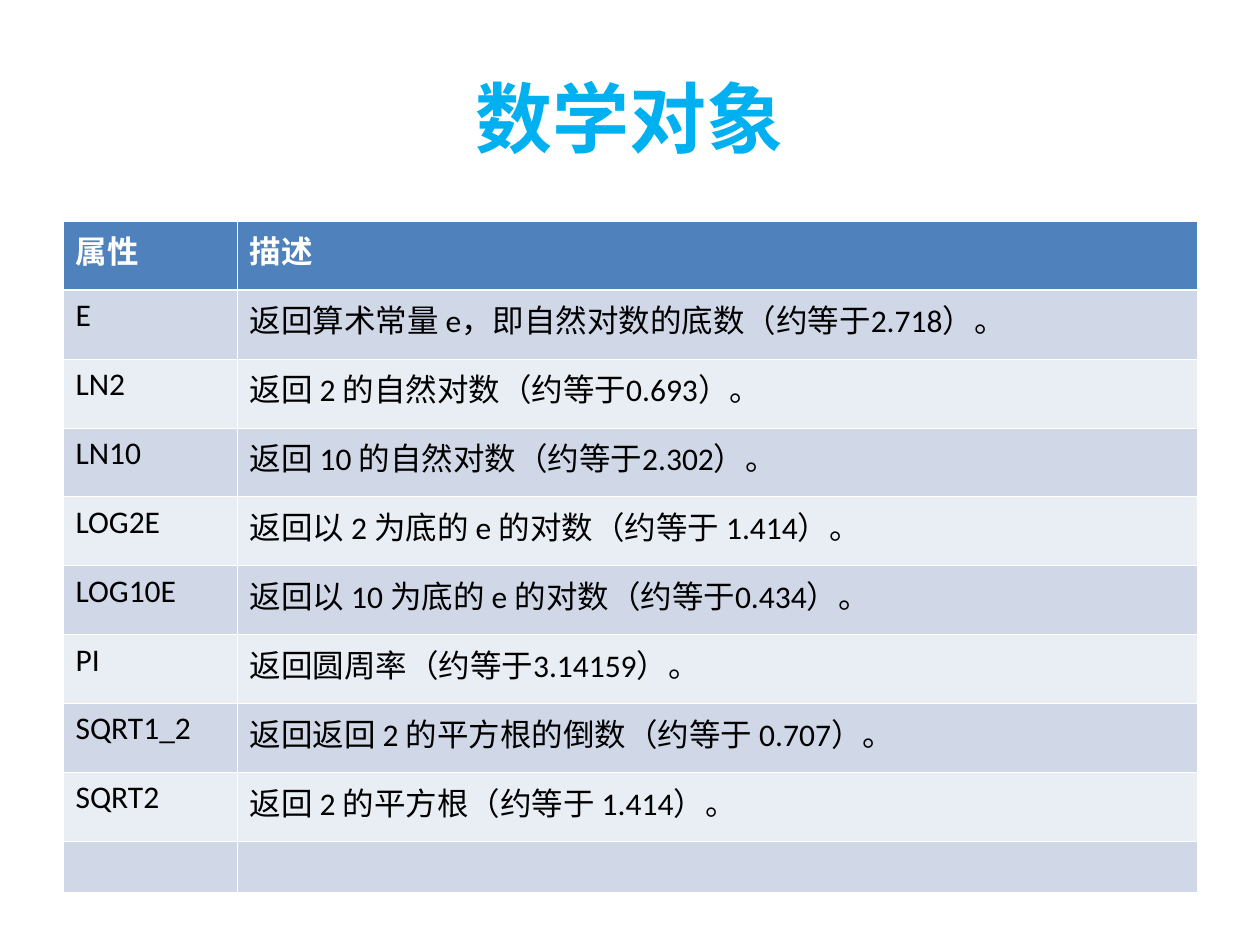
from lxml import etree
from pptx import Presentation
from pptx.dml.color import RGBColor
from pptx.enum.text import MSO_ANCHOR, PP_ALIGN
from pptx.oxml.ns import qn
from pptx.util import Pt

CENTER = PP_ALIGN.CENTER
LEFT = PP_ALIGN.LEFT
MIDDLE = MSO_ANCHOR.MIDDLE
TOP = MSO_ANCHOR.TOP

WHITE = RGBColor(0xFF, 0xFF, 0xFF)
BLACK = RGBColor(0x00, 0x00, 0x00)
SKY = RGBColor(0x00, 0xB0, 0xF0)
HEADER = RGBColor(0x4F, 0x81, 0xBD)
BANDS = [RGBColor(0xD0, 0xD8, 0xE8), RGBColor(0xE9, 0xED, 0xF4)]

PX_PER_INCH = 126
THIN, THICK = 0.45, 1.47

ROWS = [
    ("属性", "描述"),
    ("E", "返回算术常量 e，即自然对数的底数（约等于2.718）。"),
    ("LN2", "返回 2 的自然对数（约等于0.693）。"),
    ("LN10", "返回 10 的自然对数（约等于2.302）。"),
    ("LOG2E", "返回以 2 为底的 e 的对数（约等于 1.414）。"),
    ("LOG10E", "返回以 10 为底的 e 的对数（约等于0.434）。"),
    ("PI", "返回圆周率（约等于3.14159）。"),
    ("SQRT1_2", "返回返回 2 的平方根的倒数（约等于 0.707）。"),
    ("SQRT2", "返回 2 的平方根（约等于 1.414）。"),
    ("", ""),
]


def px(n):
    return round(n * 914400 / PX_PER_INCH)


class SlideBuilder:
    """Holds the text style and the slide being filled."""

    def __init__(self, slide, font="Calibri"):
        self.s = slide
        self.font = font

    def add_text(self, tf, text, size, color, bold, align, anchor):
        p = tf.paragraphs[0]
        p.alignment = align
        r = p.add_run()
        r.text = text
        r.font.name = self.font
        r.font.size = Pt(size)
        r.font.bold = bold
        r.font.color.rgb = color
        tf.vertical_anchor = anchor

    def title(self, text, x, y, w, h):
        sp = self.s.shapes.title
        sp.left, sp.top, sp.width, sp.height = px(x), px(y), px(w), px(h)
        self.add_text(sp.text_frame, text, 44, SKY, True, CENTER, MIDDLE)

    def borders(self, cell, top, bottom):
        """Draw white cell borders; must run before the cell is filled."""
        tc_pr = cell._tc.get_or_add_tcPr()
        for side, width in zip("LRTB", (THIN, THIN, top, bottom)):
            ln = etree.SubElement(tc_pr, qn(f"a:ln{side}"), w=str(int(Pt(width))))
            fill = etree.SubElement(ln, qn("a:solidFill"))
            etree.SubElement(fill, qn("a:srgbClr"), val=str(WHITE))

    def table(self, rows, x, y, col_widths, row_heights):
        frame = self.s.shapes.add_table(
            len(rows), len(col_widths), px(x), px(y),
            px(sum(col_widths)), px(sum(row_heights)))
        table = frame.table
        table.horz_banding = False
        for column, width in zip(table.columns, col_widths):
            column.width = px(width)
        for i, (texts, height) in enumerate(zip(rows, row_heights)):
            table.rows[i].height = px(height)
            header = i == 0
            for cell, text in zip(table.rows[i].cells, texts):
                self.borders(cell, THICK if i == 1 else THIN,
                             THICK if header else THIN)
                cell.fill.solid()
                cell.fill.fore_color.rgb = HEADER if header else BANDS[(i - 1) % 2]
                if text:
                    self.add_text(cell.text_frame, text, 18,
                                  WHITE if header else BLACK, header, LEFT, TOP)


def main():
    prs = Presentation()
    prs.slide_width, prs.slide_height = px(1260), px(945)
    title_only = prs.slide_layouts[5]
    slide = SlideBuilder(prs.slides.add_slide(title_only))
    slide.title("数学对象", 63, 38, 1134, 158)
    slide.table(ROWS, 63, 221, [174, 960], [69] * 9 + [50])
    prs.save("out.pptx")


if __name__ == "__main__":
    main()
